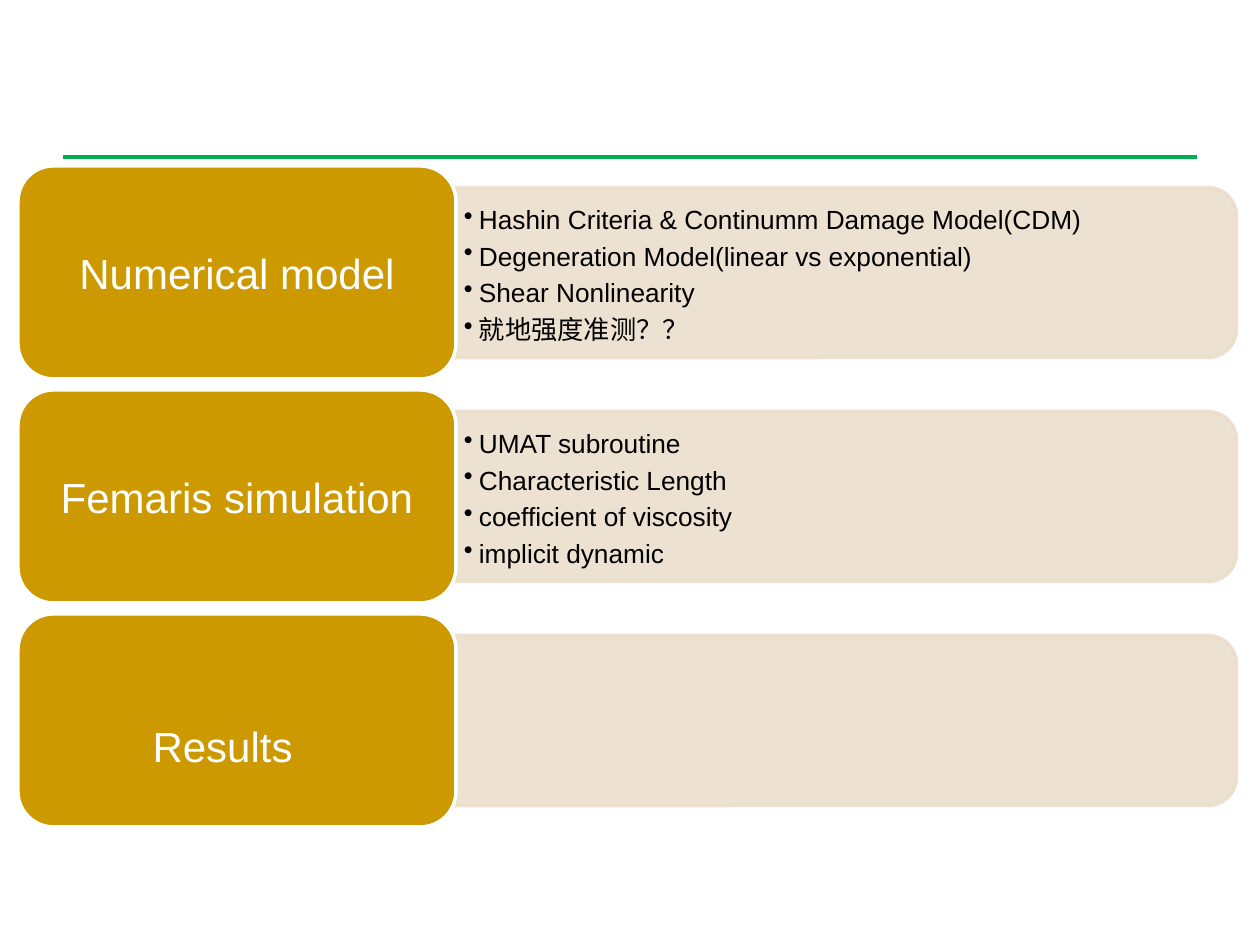
"""Build a slide of three topic blocks with bulleted detail panels."""
from lxml import etree
from pptx import Presentation
from pptx.dml.color import RGBColor
from pptx.enum.shapes import MSO_CONNECTOR, MSO_SHAPE
from pptx.enum.text import MSO_ANCHOR, PP_ALIGN
from pptx.oxml.ns import qn
from pptx.util import Pt

LINE = MSO_CONNECTOR.STRAIGHT
BLOCK, PANEL = MSO_SHAPE.ROUNDED_RECTANGLE, MSO_SHAPE.ROUND_2_SAME_RECTANGLE
MIDDLE = MSO_ANCHOR.MIDDLE
LEFT, CENTER = PP_ALIGN.LEFT, PP_ALIGN.CENTER
PX = 914400 / 126
COLORS = {"rule": "00B050", "block": "CC9900", "panel": "ECDECC",
          "light": "FFFFFF", "dark": "000000"}
TOP, PITCH = 166, 224
ROWS = [
    ("Numerical model", ["Hashin Criteria & Continumm Damage Model(CDM)",
                         "Degeneration Model(linear vs exponential)",
                         "Shear Nonlinearity", "就地强度准测？？"]),
    ("Femaris simulation", ["UMAT subroutine", "Characteristic Length",
                            "coefficient of viscosity", "implicit dynamic"]),
    ("Results", []),
]


def px(n):
    return round(n * PX)


def color(name):
    return RGBColor.from_string(COLORS[name])


class Deck:
    """Hold the style and the current slide."""

    font = "Arial"

    def __init__(self, width, height):
        self.prs = Presentation()
        self.prs.slide_width, self.prs.slide_height = px(width), px(height)
        self.s = self.prs.slides.add_slide(self.prs.slide_layouts[6])

    def line(self, x1, y1, x2, y2, name, width):
        sp = self.s.shapes.add_connector(LINE, *map(px, (x1, y1, x2, y2)))
        sp.line.color.rgb, sp.line.width = color(name), Pt(width)
        etree.SubElement(sp._element.spPr, qn("a:effectLst"))

    def shape(self, kind, box, fill, line, rotation=0, alpha=None):
        sp = self.s.shapes.add_shape(kind, *map(px, box))
        sp.shadow.inherit = False
        sp.rotation = rotation
        sp.fill.solid()
        sp.fill.fore_color.rgb = color(fill)
        sp.line.color.rgb, sp.line.width = color(line), Pt(2)
        if alpha:
            for clr in sp._element.spPr.iter(qn("a:srgbClr")):
                etree.SubElement(clr, qn("a:alpha"), val=str(alpha * 1000))

    def text(self, box, lines, size, name, align=LEFT, after=0, bullet=False, **frame):
        tf = self.s.shapes.add_textbox(*map(px, box)).text_frame
        for key, value in {"word_wrap": True, "vertical_anchor": MIDDLE, **frame}.items():
            setattr(tf, key, value)
        for i, line in enumerate(lines):
            p = tf.add_paragraph() if i else tf.paragraphs[0]
            p.alignment, p.space_after = align, Pt(after)
            r = self.run(p, line, size, name)
            if bullet:
                self.bullet(p)
        return r

    def run(self, p, text, size, name):
        r = p.add_run()
        r.text = text
        for key, value in {"name": self.font, "size": Pt(size)}.items():
            setattr(r.font, key, value)
        r.font.color.rgb = color(name)
        return p

    def bullet(self, p):
        pPr = p._p.get_or_add_pPr()
        pPr.set("marL", str(px(15)))
        pPr.set("indent", str(px(-15)))
        etree.SubElement(pPr, qn("a:buChar"), char="•")


def main():
    deck = Deck(1260, 945)
    deck.line(63, 157, 1197, 157, "rule", 2.25)
    inset = {"margin_left": px(8), "margin_right": px(8),
             "margin_top": px(4), "margin_bottom": px(4)}
    for i, (label, details) in enumerate(ROWS):
        y = TOP + i * PITCH
        deck.shape(PANEL, (761, y - 284, 170, 781), "panel", "panel", 90, 90)
        if details:
            deck.text((456, y + 31, 772, 154), details, 15, "dark",
                      after=3, bullet=True, **inset)
        deck.shape(BLOCK, (18, y, 438, 213), "block", "light")
        p = deck.text((28, y + 11, 418, 192), [label], 24, "light", CENTER, 8)
        if not details:
            deck.run(p, " ", 59, "light")
    deck.prs.save("out.pptx")


if __name__ == "__main__":
    main()
